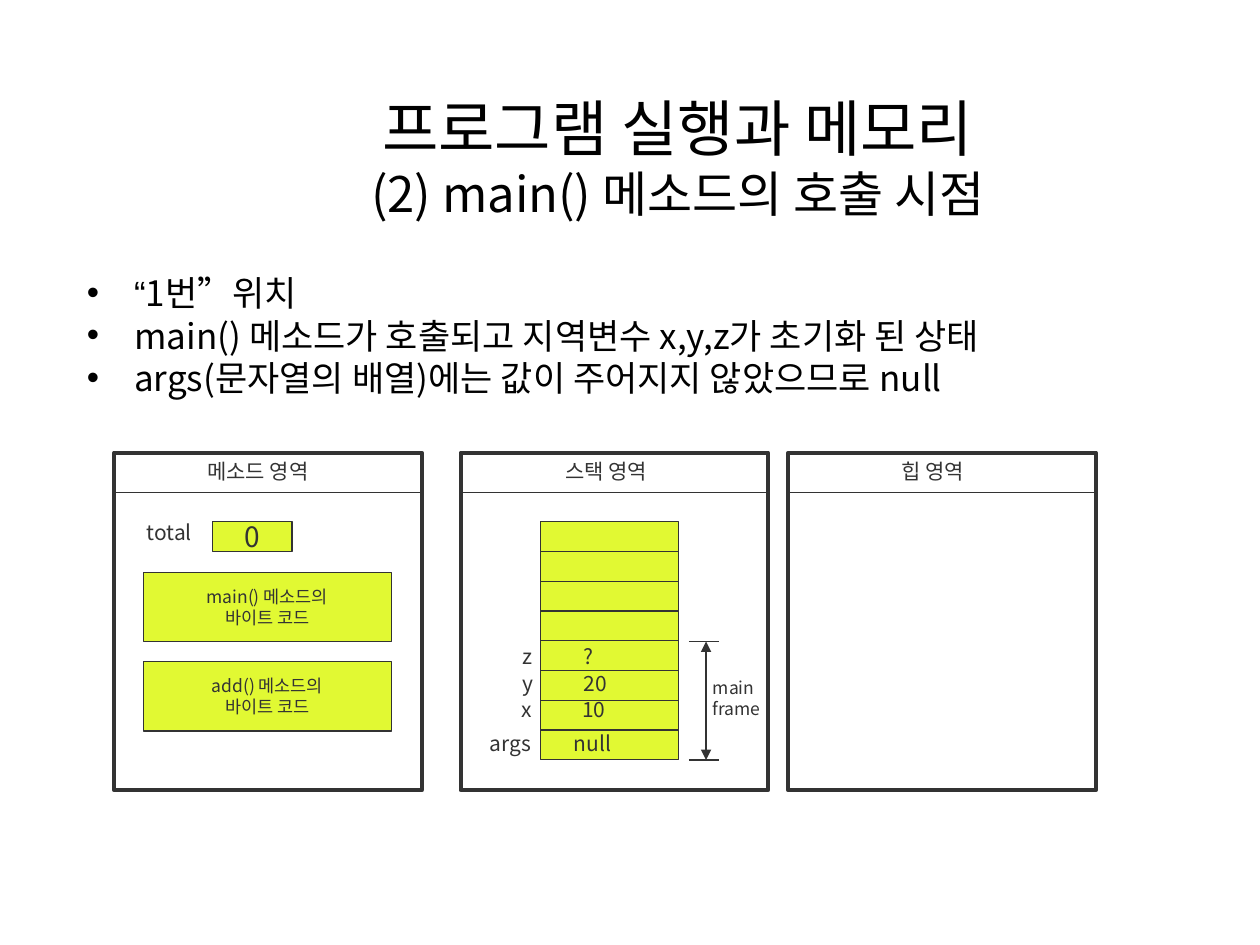
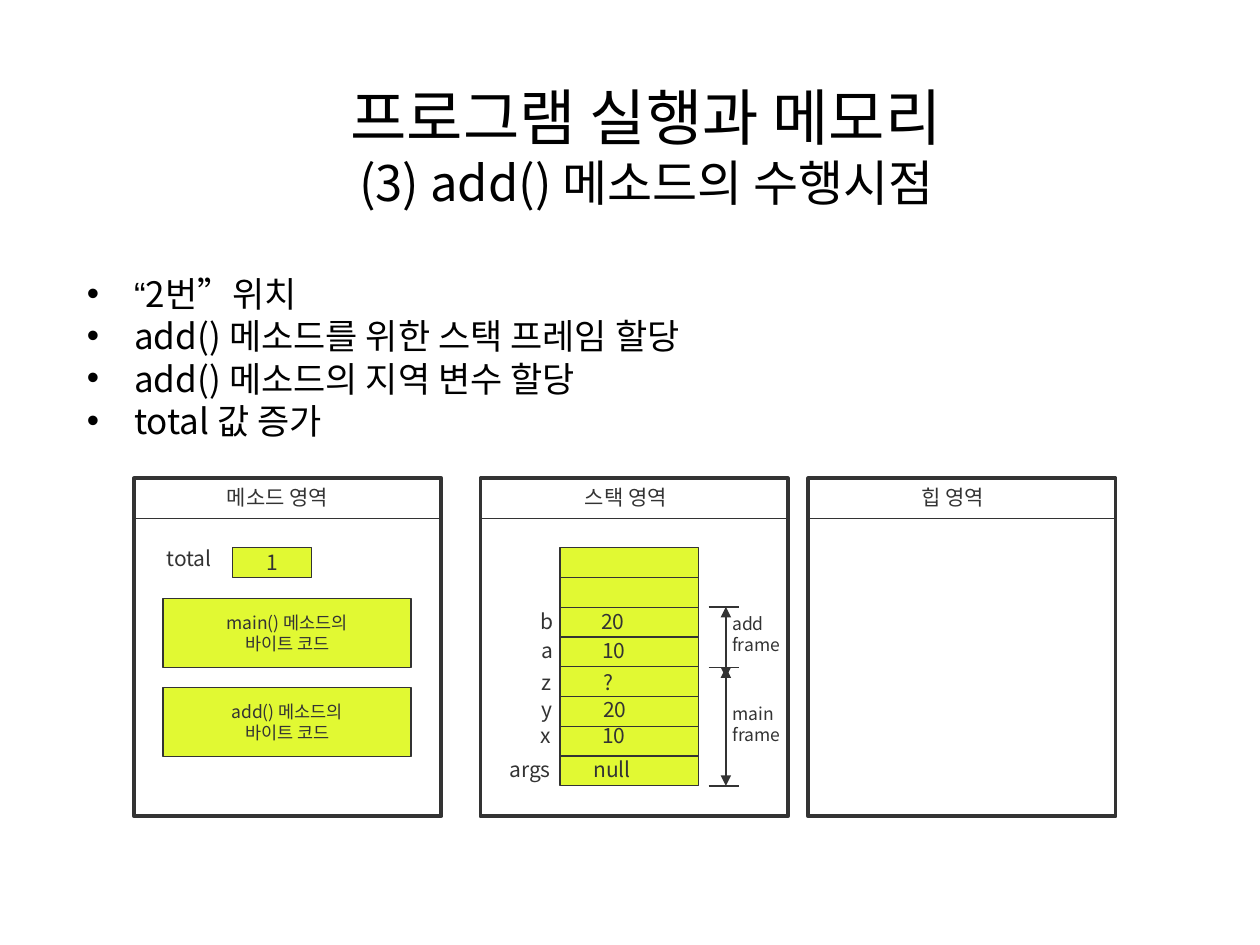
from dataclasses import dataclass

from lxml import etree
from pptx import Presentation
from pptx import util as u
from pptx.dml import color
from pptx.enum import shapes, text
from pptx.oxml import ns


@dataclass(frozen=True)
class Theme:
    font: str = "Noto Sans CJK KR"
    quote_font: str = "Arial"
    black: color.RGBColor = color.RGBColor(0, 0, 0)
    ink: color.RGBColor = color.RGBColor(0x33, 0x33, 0x33)
    lime: color.RGBColor = color.RGBColor(0xE1, 0xF9, 0x33)
    title: float = 35
    subtitle: float = 28
    body: float = 20
    label: float = 12
    small: float = 10
    thick: float = 2.25
    thin: float = 0.75


theme = Theme()


def add_run(paragraph, content, size, ink=theme.ink, font=theme.font):
    run = paragraph.add_run()
    run.text = content
    run.font.color.rgb = ink
    for name, value in {"size": u.Pt(size), "name": font}.items():
        setattr(run.font, name, value)
    properties = run._r.get_or_add_rPr()
    etree.SubElement(properties, ns.qn("a:ea"), typeface=theme.font)


def add_line(slide, x1, y1, x2, y2, arrows=False):
    connector = slide.shapes.add_connector(
        shapes.MSO_CONNECTOR.STRAIGHT, u.Pt(x1), u.Pt(y1), u.Pt(x2), u.Pt(y2))
    connector.line.color.rgb = theme.ink
    connector.line.width = u.Pt(theme.thin)
    properties = connector.element.spPr
    if arrows:
        outline = properties.find(ns.qn("a:ln"))
        for end in ("a:headEnd", "a:tailEnd"):
            etree.SubElement(outline, ns.qn(end), type="triangle")
    etree.SubElement(properties, ns.qn("a:effectLst"))


MAIN_FRAME = {"lines": ["main", "frame"], "top": 108, "bottom": 175.7,
              "label": (335, 124.6)}
ADD_FRAME = {"lines": ["add", "frame"], "top": 73.4, "bottom": 113.8,
             "label": (334.8, 73.4)}
MAIN_VARIABLES = [
    ("args\tnull", 207.4, 155.5, 89.3, 48),
    ("x\t10", 225.4, 136.1, 69, 35),
    ("y\t20", 226, 121, 68.4, 35),
    ("z\t?", 226, 105.8, 60.5, 35),
]
ADD_VARIABLES = [
    ("a\t10", 226, 87.1, 65.5, 34.5),
    ("b\t20", 225.4, 70.6, 66.2, 34.5),
]
AREAS = [("메소드 영역", 0, 46, 75.6), ("스택 영역", 198, 52.6, 64),
         ("힙 영역", 385.2, 57.6, 52.6)]
AREA_WIDTH, AREA_HEIGHT, HEADING_HEIGHT = 175.7, 193, 23
STACK_LEFT, STACK_TOP, STACK_WIDTH = 243.4, 39.6, 79.2
ROW_HEIGHT, ROW_COUNT = 17, 8
CODE_TOP, CODE_STEP = 68.4, 51.1

steps = [
    {
        "subtitle": "(2) main() 메소드의 호출 시점",
        "title_at": (54.7, 60.5, 665.3, 57.6),
        "body_at": (42.5, 156.3, 612, 80),
        "position": "1번",
        "bullets": ["main() 메소드가 호출되고 지역변수 x,y,z가 초기화 된 상태",
                    "args(문자열의 배열)에는 값이 주어지지 않았으므로 null"],
        "origin": (65.3, 258.6),
        "total": ("0", 16),
        "variables": MAIN_VARIABLES,
        "frames": [MAIN_FRAME],
    },
    {
        "subtitle": "(3) add() 메소드의 수행시점",
        "title_at": (36.7, 54.7, 665.3, 57),
        "body_at": (42.5, 156.7, 612, 108),
        "position": "2번",
        "bullets": ["add() 메소드를 위한 스택 프레임 할당",
                    "add() 메소드의 지역 변수 할당",
                    "total 값 증가"],
        "origin": (76.6, 273.4),
        "total": ("1", theme.label),
        "variables": MAIN_VARIABLES + ADD_VARIABLES,
        "frames": [MAIN_FRAME, ADD_FRAME],
    },
]

presentation = Presentation()
presentation.slide_width = u.Pt(720)
presentation.slide_height = u.Pt(540)

for step in steps:
    slide = presentation.slides.add_slide(presentation.slide_layouts[1])
    title, body = slide.placeholders
    placeholders = [
        (title, step["title_at"], text.MSO_ANCHOR.MIDDLE),
        (body, step["body_at"], text.MSO_ANCHOR.TOP),
    ]
    for placeholder, position, anchor in placeholders:
        for name, value in zip(("left", "top", "width", "height"), position):
            setattr(placeholder, name, u.Pt(value))
        frame_format = {"auto_size": text.MSO_AUTO_SIZE.NONE,
                        "vertical_anchor": anchor, "word_wrap": True}
        for name, value in frame_format.items():
            setattr(placeholder.text_frame, name, value)

    paragraph = title.text_frame.paragraphs[0]
    paragraph.alignment = text.PP_ALIGN.CENTER
    add_run(paragraph, "프로그램 실행과 메모리", theme.title, theme.black)
    paragraph.add_line_break()
    line_break = paragraph._p.find(ns.qn("a:br"))
    etree.SubElement(line_break, ns.qn("a:rPr"), sz=str(theme.title * 100))
    add_run(paragraph, step["subtitle"], theme.subtitle, theme.black)

    first_bullet = [("“", theme.quote_font), (step["position"], theme.font),
                    ("”", theme.quote_font), ("위치", theme.font)]
    bullets = [first_bullet] + [[(line, theme.font)] for line in step["bullets"]]
    for index, runs in enumerate(bullets):
        frame = body.text_frame
        paragraph = frame.add_paragraph() if index else frame.paragraphs[0]
        for name, value in {"line_spacing": 0.8, "space_before": u.Pt(5)}.items():
            setattr(paragraph, name, value)
        properties = paragraph._p.get_or_add_pPr()
        for name, value in {"marL": u.Pt(27), "indent": u.Pt(-27)}.items():
            properties.set(name, str(value))
        for content, font in runs:
            add_run(paragraph, content, theme.body, theme.black, font)

    x0, y0 = step["origin"]
    total, total_size = step["total"]
    boxes = [(left, 0, AREA_WIDTH, AREA_HEIGHT, [], theme.label, False)
             for _, left, _, _ in AREAS]
    boxes.append((56.2, STACK_TOP, 45.4, ROW_HEIGHT, [total], total_size, True))
    for index, method in enumerate(("main()", "add()")):
        code = [f"{method} 메소드의", "바이트 코드"]
        boxes.append((16.6, CODE_TOP + index * CODE_STEP, 141.8, 39.6,
                      code, theme.small, True))
    boxes.append((STACK_LEFT, STACK_TOP, STACK_WIDTH, ROW_COUNT * ROW_HEIGHT,
                  [], theme.label, True))

    for left, top, width, height, lines, size, filled in boxes:
        box = slide.shapes.add_shape(
            shapes.MSO_SHAPE.RECTANGLE,
            u.Pt(x0 + left), u.Pt(y0 + top), u.Pt(width), u.Pt(height))
        box.shadow.inherit = False
        box.line.color.rgb = theme.ink
        box.line.width = u.Pt(theme.thin if filled else theme.thick)
        if filled:
            box.fill.solid()
            box.fill.fore_color.rgb = theme.lime
        else:
            box.fill.background()
        frame = box.text_frame
        frame.word_wrap = False
        frame.vertical_anchor = text.MSO_ANCHOR.MIDDLE
        for index, line in enumerate(lines):
            paragraph = frame.add_paragraph() if index else frame.paragraphs[0]
            paragraph.alignment = text.PP_ALIGN.CENTER
            add_run(paragraph, line, size)

    for _, left, _, _ in AREAS:
        add_line(slide, x0 + left, y0 + HEADING_HEIGHT,
                 x0 + left + AREA_WIDTH, y0 + HEADING_HEIGHT)
    for row in range(1, ROW_COUNT):
        y = y0 + STACK_TOP + row * ROW_HEIGHT
        add_line(slide, x0 + STACK_LEFT, y, x0 + STACK_LEFT + STACK_WIDTH, y)

    ticks = [MAIN_FRAME["bottom"]] + [frame["top"] for frame in step["frames"]]
    for tick in ticks:
        add_line(slide, x0 + 328.3, y0 + tick, x0 + 345.6, y0 + tick)
    for frame in step["frames"]:
        add_line(slide, x0 + 338.2, y0 + frame["top"],
                 x0 + 338.2, y0 + frame["bottom"], arrows=True)

    labels = [([heading], left + inset, 0, width, theme.label, None)
              for heading, left, inset, width in AREAS]
    labels.append((["total"], 11.5, 34.6, 43.2, theme.label, None))
    labels += [([line], left, top, width, theme.label, tab)
               for line, left, top, width, tab in step["variables"]]
    labels += [(frame["lines"], *frame["label"], 51, theme.small, None)
               for frame in step["frames"]]

    for lines, left, top, width, size, tab in labels:
        label = slide.shapes.add_textbox(
            u.Pt(x0 + left), u.Pt(y0 + top), u.Pt(width),
            u.Pt(21.6 if len(lines) == 1 else 31.7))
        label.text_frame.word_wrap = True
        for index, line in enumerate(lines):
            frame = label.text_frame
            paragraph = frame.add_paragraph() if index else frame.paragraphs[0]
            add_run(paragraph, line, size)
            if tab:
                properties = paragraph._p.get_or_add_pPr()
                tabs = etree.SubElement(properties, ns.qn("a:tabLst"))
                etree.SubElement(tabs, ns.qn("a:tab"), pos=str(u.Pt(tab)), algn="l")

presentation.save("out.pptx")
